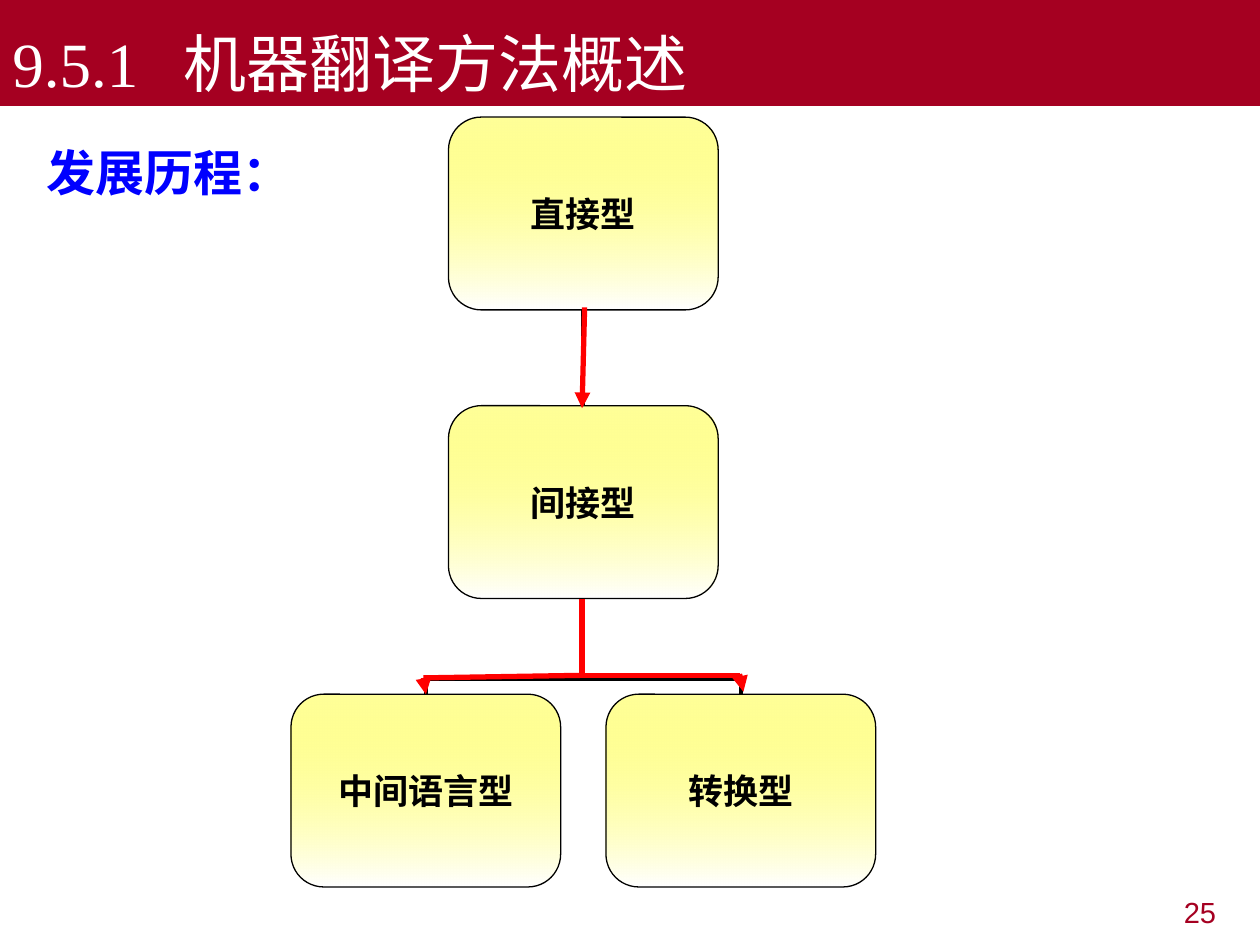
from dataclasses import dataclass

from lxml import etree
from pptx import Presentation
from pptx.dml.color import RGBColor
from pptx.enum.shapes import MSO_CONNECTOR as CONN, MSO_SHAPE as SHAPE
from pptx.enum.text import MSO_ANCHOR as ANCHOR, PP_ALIGN as ALIGN
from pptx.oxml.ns import qn
from pptx.util import Inches, Pt


@dataclass(frozen=True)
class Theme:
    crimson: str = "A50021"
    white: str = "FFFFFF"
    black: str = "000000"
    blue: str = "0000FF"
    red: str = "FF0000"
    yellow: str = "FFFF00"
    serif: str = "Times New Roman"
    sans: str = "Arial"
    cjk: str = "Noto Sans CJK SC"
    title_size: float = 36
    heading_size: float = 28
    box_size: float = 20
    number_size: float = 16.6
    branch_width: float = 2.25
    arrow_width: float = 3


THEME = Theme()
BOX_W, BOX_H = 2.14, 1.53
TRUNK_X = 4.63
BRANCH_DX = 1.25
LEVELS = [0.93 + 2.29 * i for i in range(3)]


def rgb(color):
    return RGBColor.from_string(color)


def add_run(p, text, size, color, font, bold=False):
    r = p.add_run()
    r.text = text
    r.font.size, r.font.bold, r.font.name = Pt(size), bold, font
    r.font.color.rgb = rgb(color)
    etree.SubElement(r._r.get_or_add_rPr(), qn("a:ea"), typeface=THEME.cjk)


def add_text(slide, left, top, width, height):
    tf = slide.shapes.add_textbox(*map(Inches, (left, top, width, height))).text_frame
    tf.word_wrap = True
    return tf.paragraphs[0]


def add_title_bar(slide, number, title):
    sp = slide.shapes.add_shape(SHAPE.RECTANGLE, 0, 0, Inches(10), Inches(0.84))
    sp.shadow.inherit = False
    sp.fill.solid()
    sp.fill.fore_color.rgb = rgb(THEME.crimson)
    sp.line.fill.background()
    tf = sp.text_frame
    tf.vertical_anchor = ANCHOR.BOTTOM
    p = tf.paragraphs[0]
    p.alignment = ALIGN.LEFT
    tabs = etree.SubElement(p._p.get_or_add_pPr(), qn("a:tabLst"))
    etree.SubElement(tabs, qn("a:tab"), pos=str(Inches(1.36)), algn="l")
    add_run(p, f"{number}\t{title}", THEME.title_size, THEME.white, THEME.serif)


def add_box(slide, center_x, top, text):
    sp = slide.shapes.add_shape(SHAPE.ROUNDED_RECTANGLE, Inches(center_x - BOX_W / 2),
                                Inches(top), Inches(BOX_W), Inches(BOX_H))
    sp.shadow.inherit = False
    sp.adjustments[0] = 0.17
    sp.fill.gradient()
    sp.fill.gradient_angle = 270
    start, end = sp.fill.gradient_stops
    start.position, end.position = 0, 1
    start.color.rgb, end.color.rgb = rgb(THEME.yellow), rgb(THEME.white)
    color = sp._element.spPr.find(".//" + qn("a:srgbClr"))
    etree.SubElement(color, qn("a:alpha"), val="40000")
    sp.line.color.rgb = rgb(THEME.black)
    sp.line.width = Pt(0.75)
    tf = sp.text_frame
    tf.word_wrap = False
    tf.vertical_anchor = ANCHOR.MIDDLE
    tf.margin_left = tf.margin_right = tf.margin_top = tf.margin_bottom = 0
    p = tf.paragraphs[0]
    p.alignment = ALIGN.CENTER
    add_run(p, text, THEME.box_size, THEME.black, THEME.serif, bold=True)
    return sp


def add_line(slide, begin, end, color, width, arrow=False, kind=CONN.STRAIGHT):
    line = slide.shapes.add_connector(kind, *map(Inches, (*begin, *end)))
    line.line.color.rgb = rgb(color)
    line.line.width = Pt(width)
    if arrow:
        etree.SubElement(line.line._get_or_add_ln(), qn("a:tailEnd"), type="triangle")
    etree.SubElement(line._element.spPr, qn("a:effectLst"))
    return line


def add_branch(slide, side):
    """Elbow from a child's top up to the trunk; side is 1 (right) or -1 (left)."""
    bottom, top = LEVELS[2], LEVELS[1] + BOX_H
    mid_x, mid_y = TRUNK_X + side * BRANCH_DX / 2, (top + bottom) / 2
    half = side * (bottom - top) / 2
    line = add_line(slide, (mid_x - half, mid_y + BRANCH_DX / 2),
                    (mid_x + half, mid_y - BRANCH_DX / 2),
                    THEME.black, THEME.branch_width, kind=CONN.ELBOW)
    sp_pr = line._element.spPr
    sp_pr.find(qn("a:xfrm")).set("rot", str((270 if side > 0 else 90) * 60000))
    guides = sp_pr.find(qn("a:prstGeom")).find(qn("a:avLst"))
    etree.SubElement(guides, qn("a:gd"), name="adj1", fmla="val 16300")


def add_tree(slide):
    for side in (1, -1):
        add_branch(slide, side)
    trunk = add_line(slide, (TRUNK_X, LEVELS[1]), (TRUNK_X, LEVELS[0] + BOX_H),
                     THEME.black, THEME.branch_width)
    direct = add_box(slide, TRUNK_X, LEVELS[0], "直接型")
    indirect = add_box(slide, TRUNK_X, LEVELS[1], "间接型")
    add_box(slide, TRUNK_X - BRANCH_DX, LEVELS[2], "中间语言型")
    add_box(slide, TRUNK_X + BRANCH_DX, LEVELS[2], "转换型")
    trunk.begin_connect(indirect, 0)
    trunk.end_connect(direct, 2)


def add_red_path(slide):
    fork = (4.62, 5.36)
    for begin, end, arrow in [
        ((4.64, 2.44), (4.62, 3.24), True),
        (fork, (3.36, 5.38), False),
        (fork, (5.87, 5.36), False),
        ((3.36, 5.38), (3.38, 5.51), True),
        ((5.87, 5.35), (5.9, 5.49), True),
        ((4.62, 4.75), fork, False),
    ]:
        add_line(slide, begin, end, THEME.red, THEME.arrow_width, arrow)


def main():
    prs = Presentation()
    prs.slide_width, prs.slide_height = Inches(10), Inches(7.5)
    s = prs.slides.add_slide(prs.slide_layouts[6])

    p = add_text(s, 7.58, 7.08, 2.17, 0.39)
    p.alignment, p.line_spacing = ALIGN.RIGHT, 0.9
    add_run(p, "25", THEME.number_size, THEME.crimson, THEME.sans)

    add_title_bar(s, "9.5.1", "机器翻译方法概述")

    p = add_text(s, 0.27, 0.99, 4.64, 5.91)
    p.line_spacing = 1.2
    add_run(p, "发展历程：", THEME.heading_size, THEME.blue, THEME.cjk, bold=True)

    add_tree(s)
    add_red_path(s)
    prs.save("out.pptx")


if __name__ == "__main__":
    main()
